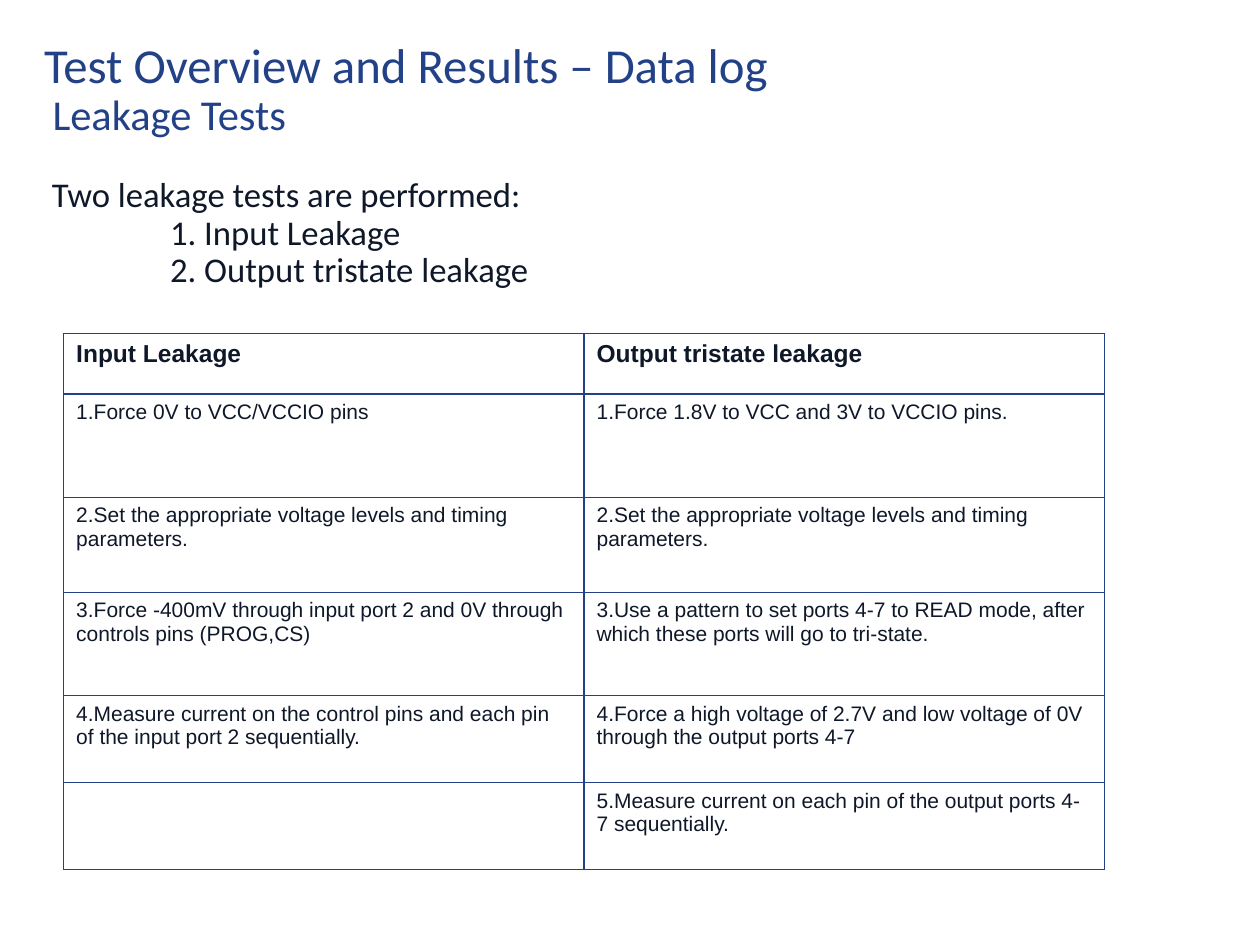
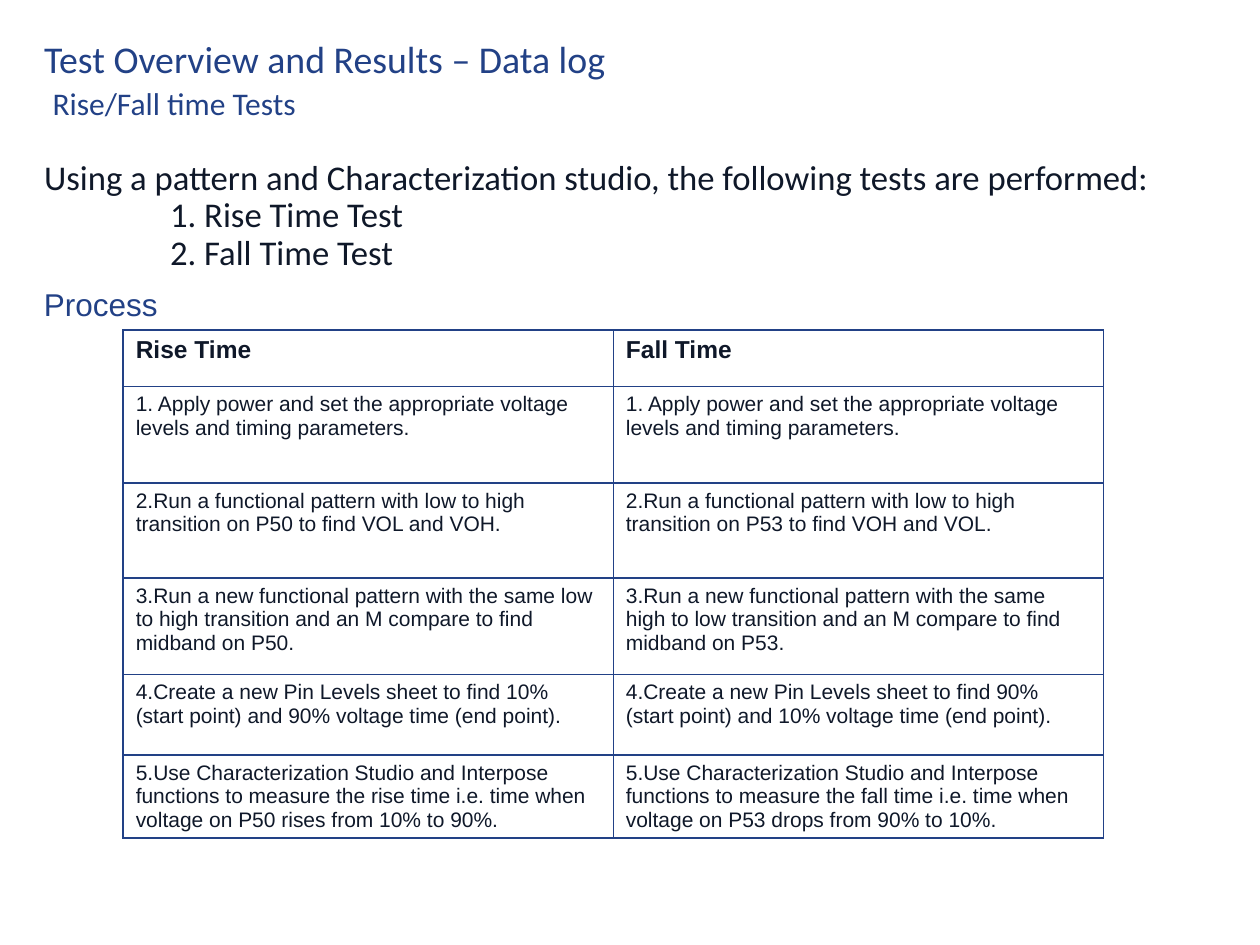
from pptx import Presentation
from pptx import util as u
from pptx.dml import color
from pptx.enum import shapes, text
from pptx.oxml import ns
from lxml import etree

COLORS = {"blue": "224186", "ink": "0F1829", "white": "FFFFFF"}
COLS, ROWS = 40, 30  # layout grid of the slide
TITLE = "Test Overview and Results – Data log"


class Deck:
    """Holds the shared style and the slide being built."""

    def __init__(self):
        self.prs = Presentation()
        self.prs.slide_width, self.prs.slide_height = u.Inches(10), u.Inches(7.5)
        self.s = None

    def x(self, cols):
        return int(self.prs.slide_width * cols / COLS)

    def y(self, rows):
        return int(self.prs.slide_height * rows / ROWS)

    def box(self, col, row, cols, rows):
        return self.x(col), self.y(row), self.x(cols), self.y(rows)

    def format(self, p, size, hue, face="Arial", bold=False):
        p.alignment = text.PP_ALIGN.LEFT
        for r in p.runs:
            r.font.size, r.font.name, r.font.bold = u.Pt(size), face, bold
            r.font.color.rgb = color.RGBColor.from_string(COLORS[hue])

    def fill(self, item, hue):
        item.fill.solid()
        item.fill.fore_color.rgb = color.RGBColor.from_string(COLORS[hue])

    def slide(self, lines):
        """Start a slide; lines are (text, size, colour, indent in columns, gap in points)."""
        self.s = self.prs.slides.add_slide(self.prs.slide_layouts[5])
        self.footer_panel()
        sp = self.s.shapes.title
        sp.left, sp.top, sp.width, sp.height = self.box(1, 1.1, 38, 3.08)
        tf = sp.text_frame
        tf.text = "\n".join(line[0] for line in lines)
        tf.word_wrap, tf.auto_size = True, text.MSO_AUTO_SIZE.NONE
        tf.vertical_anchor = text.MSO_ANCHOR.TOP
        for p, (_, size, hue, indent, gap) in zip(tf.paragraphs, lines):
            self.format(p, size, hue, "Calibri")
            p.line_spacing, p.space_before = 0.9, u.Pt(gap)
            pPr = p._p.get_or_add_pPr()
            pPr.set("marL", str(self.x(indent)))
            pPr.set("indent", "0")

    def footer_panel(self):
        sp = self.s.shapes.add_shape(shapes.MSO_SHAPE.RECTANGLE, *self.box(33.08, 28.12, 5.92, 1.36))
        sp.shadow.inherit = False
        self.fill(sp, "white")
        sp.line.fill.background()

    def label(self, wording, size, *place):
        tf = self.s.shapes.add_textbox(*self.box(*place)).text_frame
        tf.word_wrap = True
        tf.text = wording
        self.format(tf.paragraphs[0], size, "blue")

    def border(self, cell):
        tcPr = cell._tc.get_or_add_tcPr()
        for side in ("lnL", "lnR", "lnT", "lnB"):
            ln = etree.SubElement(tcPr, ns.qn(f"a:{side}"), w=str(u.Pt(1)))
            fill = etree.SubElement(ln, ns.qn("a:solidFill"))
            etree.SubElement(fill, ns.qn("a:srgbClr"), val=COLORS["blue"])

    def table(self, rows, heights, col, row, cols):
        place = self.box(col, row, cols, sum(heights))
        table = self.s.shapes.add_table(len(rows), len(rows[0]), *place).table
        table.first_row = table.horz_banding = False
        for i, (wordings, height) in enumerate(zip(rows, heights)):
            table.rows[i].height = self.y(height)
            for j, wording in enumerate(wordings):
                cell = table.cell(i, j)
                self.border(cell)
                self.fill(cell, "white")
                cell.text = wording
                self.format(cell.text_frame.paragraphs[0], 12 if i else 14, "ink", bold=not i)


def main():
    deck = Deck()

    # Leakage tests
    deck.slide([
        (TITLE, 27.9, "blue", 0, 0),
        ("Leakage Tests", 24.3, "blue", 0.27, 0),
        ("Two leakage tests are performed:", 19.8, "ink", 0.25, 21.8),
        ("1. Input Leakage", 19.8, "ink", 4, 0),
        ("2. Output tristate leakage", 19.8, "ink", 4, 0),
    ])
    levels = "2.Set the appropriate voltage levels and timing parameters."
    deck.table([
        ("Input Leakage", "Output tristate leakage"),
        ("1.Force 0V to VCC/VCCIO pins", "1.Force 1.8V to VCC and 3V to VCCIO pins."),
        (levels, levels),
        ("3.Force -400mV through input port 2 and 0V through controls pins (PROG,CS)",
         "3.Use a pattern to set ports 4-7 to READ mode, after which these ports will go to tri-state."),
        ("4.Measure current on the control pins and each pin of the input port 2 sequentially.",
         "4.Force a high voltage of 2.7V and low voltage of 0V through the output ports 4-7"),
        ("", "5.Measure current on each pin of the output ports 4-7 sequentially."),
    ], [1.92, 3.28, 3.02, 3.28, 2.76, 2.76], 2.02, 10.59, 33.04)

    # Rise and fall time tests
    deck.slide([
        (TITLE, 21.6, "blue", 0, 0),
        ("Rise/Fall time Tests", 18, "blue", 0.27, 3.5),
        ("Using a pattern and Characterization studio, the following tests are performed:",
         19.8, "ink", 0, 22),
        ("1. Rise Time Test", 19.8, "ink", 4, 0),
        ("2. Fall Time Test", 19.8, "ink", 4, 0),
    ])
    steps = [
        "{name} Time",
        "1. Apply power and set the appropriate voltage levels and timing parameters.",
        "2.Run a functional pattern with low to high transition on {pin} to find {levels}.",
        "3.Run a new functional pattern with the same {edge} transition and an M compare "
        "to find midband on {pin}.",
        "4.Create a new Pin Levels sheet to find {start} (start point) and {end} voltage time (end point).",
        "5.Use Characterization Studio and Interpose functions to measure the {verb} time "
        "i.e. time when voltage on {pin} {moves} from {start} to {end}.",
    ]
    rise = dict(name="Rise", verb="rise", moves="rises", pin="P50", levels="VOL and VOH",
                edge="low to high", start="10%", end="90%")
    fall = dict(name="Fall", verb="fall", moves="drops", pin="P53", levels="VOH and VOL",
                edge="high to low", start="90%", end="10%")
    deck.table([(step.format(**rise), step.format(**fall)) for step in steps],
               [1.8, 3.06, 3.02, 3.06, 2.56, 2.6], 3.91, 10.47, 31.12)
    deck.label("Process", 18, 1, 8.84, 16.48, 1.6)

    deck.prs.save("out.pptx")


if __name__ == "__main__":
    main()
